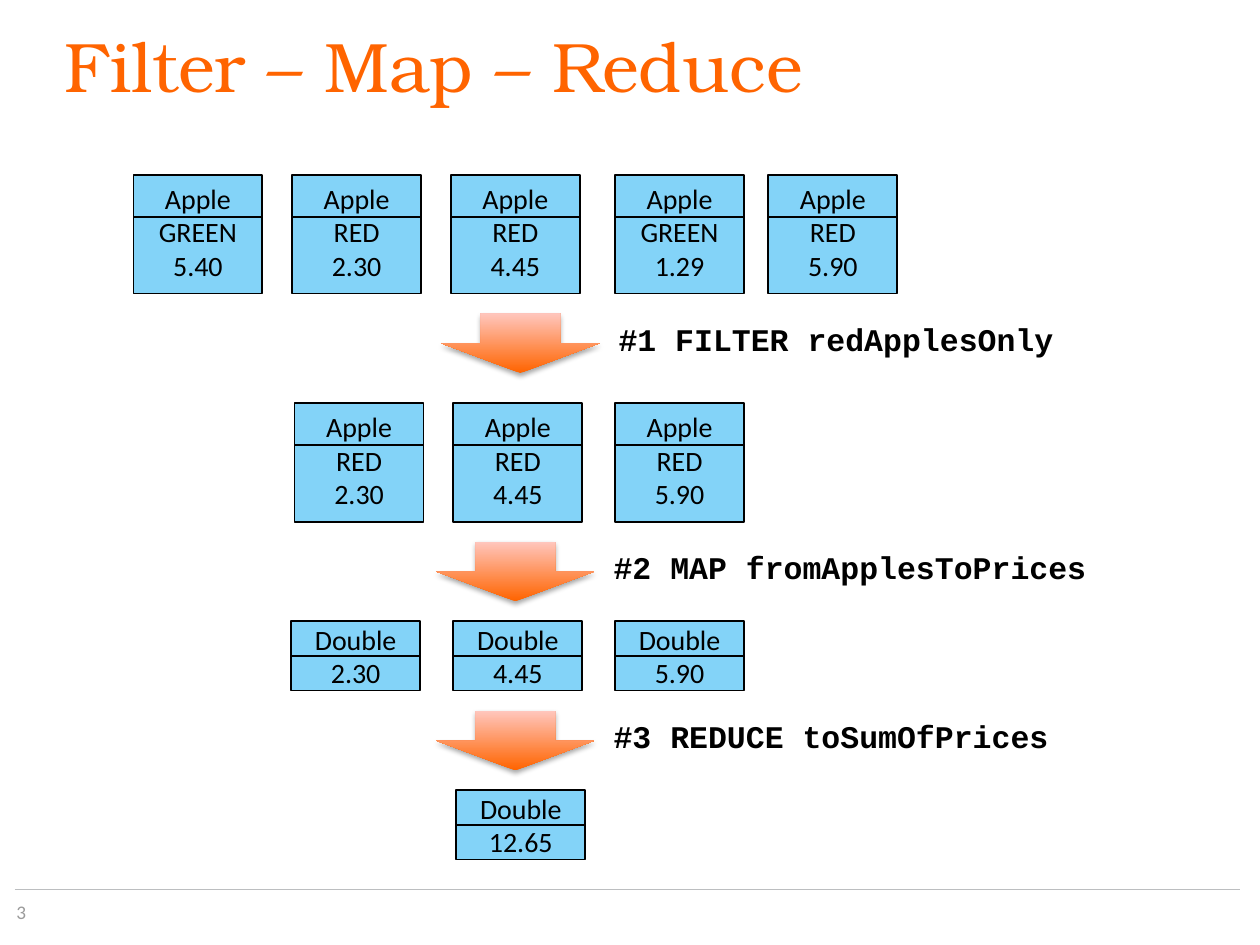
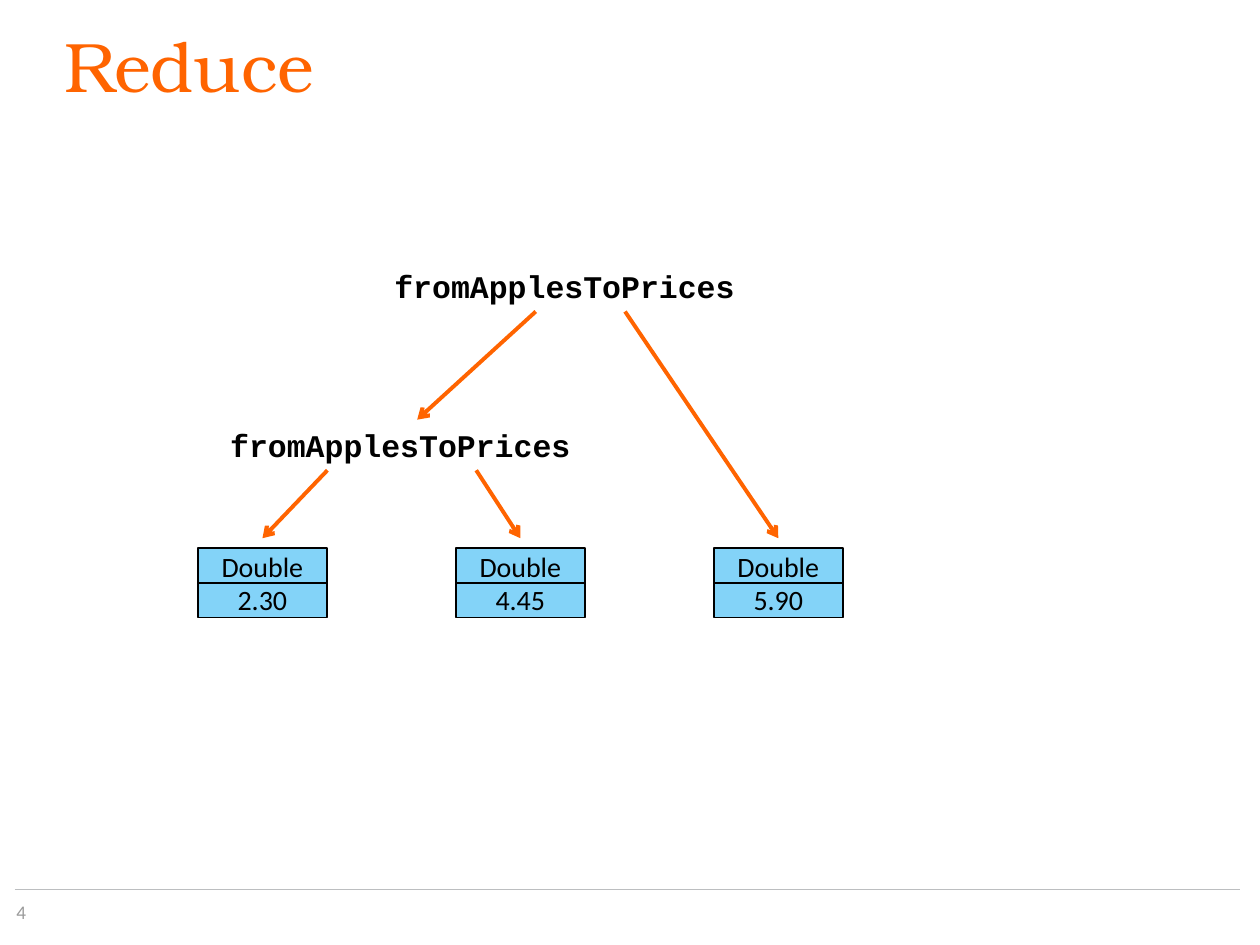
"""Build two slides that explain filter, map and reduce with a list of apples."""
from lxml import etree
from pptx import Presentation
from pptx.dml.color import RGBColor
from pptx.enum.shapes import MSO_CONNECTOR, MSO_SHAPE
from pptx.enum.text import MSO_ANCHOR, PP_ALIGN
from pptx.oxml import parse_xml
from pptx.oxml.ns import nsdecls, qn
from pptx.util import Cm, Pt

RECTANGLE, DOWN_ARROW = MSO_SHAPE.RECTANGLE, MSO_SHAPE.DOWN_ARROW
STRAIGHT = MSO_CONNECTOR.STRAIGHT
TOP, MIDDLE = MSO_ANCHOR.TOP, MSO_ANCHOR.MIDDLE
LEFT, CENTER = PP_ALIGN.LEFT, PP_ALIGN.CENTER

ORANGE = RGBColor(0xFF, 0x64, 0x00)
PINK = RGBColor(0xFF, 0xC6, 0xBD)
SKY = RGBColor(0x83, 0xD3, 0xF8)
BLACK = RGBColor(0, 0, 0)
RULE_GRAY = RGBColor(0xBC, 0xBE, 0xC0)
NUMBER_GRAY = RGBColor(0x9B, 0x9B, 0x9B)
TITLE_FONT, BODY_FONT, CODE_FONT = "TeX Gyre Bonum", "Calibri", "Courier New"

ALL_APPLES = [
    (2.69, "GREEN", "5.40"),
    (5.89, "RED", "2.30"),
    (9.09, "RED", "4.45"),
    (12.4, "GREEN", "1.29"),
    (15.49, "RED", "5.90"),
]
RED_APPLES = [(5.94, "RED", "2.30"), (9.14, "RED", "4.45"), (12.4, "RED", "5.90")]
PRICES = [(5.87, "2.30"), (9.14, "4.45"), (12.4, "5.90")]
TOTAL = [(9.2, "12.65")]
PIPELINE_ROWS = [
    ("Apple", 3.53, ALL_APPLES),
    ("Apple", 8.13, RED_APPLES),
    ("Double", 12.52, PRICES),
    ("Double", 15.93, TOTAL),
]
STEPS = [
    (8.89, 6.32, "#1 FILTER redApplesOnly", 9.32),
    (8.79, 10.92, "#2 MAP fromApplesToPrices", 10.46),
    (8.79, 14.33, "#3 REDUCE toSumOfPrices", 9.32),
]

TREE_PRICES = ["2.30", "4.45", "5.90"]
TREE_LEFT, TREE_PITCH, TREE_TOP = 3.99, 5.2, 11.05
TREE_CALL = "fromApplesToPrices"
OUTER_CALL, INNER_CALL = (7.7, 5.26), (4.39, 8.46)
CALL_WIDTH = 7.42

BOX_WIDTH = 2.6
BOX_STYLES = {"Apple": (2.39, 0.84, TOP), "Double": (1.4, 0.7, MIDDLE)}
ARROW_WIDTH, ARROW_HEIGHT = 3.2, 1.2
LABEL_SHIFT, LABEL_HEIGHT = 3.33, 1.02


def add_span(para, text, font, size, color, bold=False):
    span = para.add_run()
    span.text = text
    span.font.name = font
    span.font.size = Pt(size)
    span.font.color.rgb = color
    span.font.bold = bold


def clear_margins(frame):
    frame.margin_left = frame.margin_right = frame.margin_top = frame.margin_bottom = 0


def add_line(page, start, end, color, width, arrow=False):
    line = page.shapes.add_connector(STRAIGHT, *(Cm(value) for value in (*start, *end)))
    line.line.color.rgb = color
    line.line.width = Pt(width)
    if arrow:
        etree.SubElement(line.line._get_or_add_ln(), qn("a:tailEnd"), type="arrow")
    etree.SubElement(line._element.spPr, qn("a:effectLst"))


def add_page(deck, title, number):
    page = deck.slides.add_slide(deck.slide_layouts[5])
    heading = page.shapes.title
    heading.left, heading.top, heading.width, heading.height = Cm(1.3), Cm(0.74), Cm(20.8), Cm(3)
    frame = heading.text_frame
    clear_margins(frame)
    frame.vertical_anchor = TOP
    para = frame.paragraphs[0]
    para.alignment = LEFT
    para.line_spacing = Pt(40)
    add_span(para, title, TITLE_FONT, 40, ORANGE)

    add_line(page, (0.3, 17.93), (25, 17.93), RULE_GRAY, 0.75)
    box = page.shapes.add_textbox(Cm(0.33), Cm(18.14), Cm(2), Cm(0.5))
    clear_margins(box.text_frame)
    add_span(box.text_frame.paragraphs[0], str(number), BODY_FONT, 11, NUMBER_GRAY)
    return page


def add_object(page, kind, left, top, values):
    height, header, anchor = BOX_STYLES[kind]
    box = page.shapes.add_shape(RECTANGLE, Cm(left), Cm(top), Cm(BOX_WIDTH), Cm(height))
    box.shadow.inherit = False
    box.fill.solid()
    box.fill.fore_color.rgb = SKY
    box.line.color.rgb = BLACK
    box.line.width = Pt(1)
    frame = box.text_frame
    frame.vertical_anchor = anchor
    for index, text in enumerate([kind, *values]):
        para = frame.add_paragraph() if index else frame.paragraphs[0]
        para.alignment = CENTER
        add_span(para, text, BODY_FONT, 16, BLACK)
    add_line(page, (left, top + header), (left + BOX_WIDTH, top + header), BLACK, 1)


def add_label(page, left, top, width, text):
    label = page.shapes.add_textbox(Cm(left), Cm(top), Cm(width), Cm(LABEL_HEIGHT))
    label.text_frame.word_wrap = False
    add_span(label.text_frame.paragraphs[0], text, CODE_FONT, 18, BLACK, bold=True)


def add_step(page, left, top, text, width):
    arrow = page.shapes.add_shape(
        DOWN_ARROW, Cm(left), Cm(top), Cm(ARROW_WIDTH), Cm(ARROW_HEIGHT))
    arrow.fill.gradient()
    arrow.fill.gradient_angle = 90
    for stop, color, position in zip(arrow.fill.gradient_stops, (ORANGE, PINK), (0, 1)):
        stop.color.rgb = color
        stop.position = position
    arrow.line.fill.background()
    arrow.shadow.inherit = False
    arrow._element.spPr.find(qn("a:effectLst")).append(parse_xml(
        f'<a:outerShdw {nsdecls("a")} blurRad="{Pt(3.1)}" dist="{Pt(1.8)}" dir="5400000" '
        'rotWithShape="0"><a:srgbClr val="000000"><a:alpha val="35000"/></a:srgbClr>'
        '</a:outerShdw>'))
    add_label(page, left + LABEL_SHIFT, top, width, text)


def add_pipeline(deck):
    page = add_page(deck, "Filter – Map – Reduce", 3)
    for kind, top, objects in PIPELINE_ROWS:
        for left, *values in objects:
            add_object(page, kind, left, top, values)
    for step in STEPS:
        add_step(page, *step)


def add_tree(deck):
    page = add_page(deck, "Reduce", 4)
    targets = []
    for index, price in enumerate(TREE_PRICES):
        left = TREE_LEFT + index * TREE_PITCH
        add_object(page, "Double", left, TREE_TOP, [price])
        targets.append((left + BOX_WIDTH / 2, TREE_TOP - 0.2))
    for left, top in (INNER_CALL, OUTER_CALL):
        add_label(page, left, top, CALL_WIDTH, TREE_CALL)
    inner_bottom, outer_bottom = (top + LABEL_HEIGHT for _, top in (INNER_CALL, OUTER_CALL))
    branches = [
        ((6.6, inner_bottom), targets[0]),
        ((9.6, inner_bottom), targets[1]),
        ((10.8, outer_bottom), (8.41, INNER_CALL[1])),
        ((12.6, outer_bottom), targets[2]),
    ]
    for start, end in branches:
        add_line(page, start, end, ORANGE, 2.25, arrow=True)


def main():
    deck = Presentation()
    deck.slide_width, deck.slide_height = Cm(25.4), Cm(19.05)
    add_pipeline(deck)
    add_tree(deck)
    deck.save("out.pptx")


if __name__ == "__main__":
    main()
